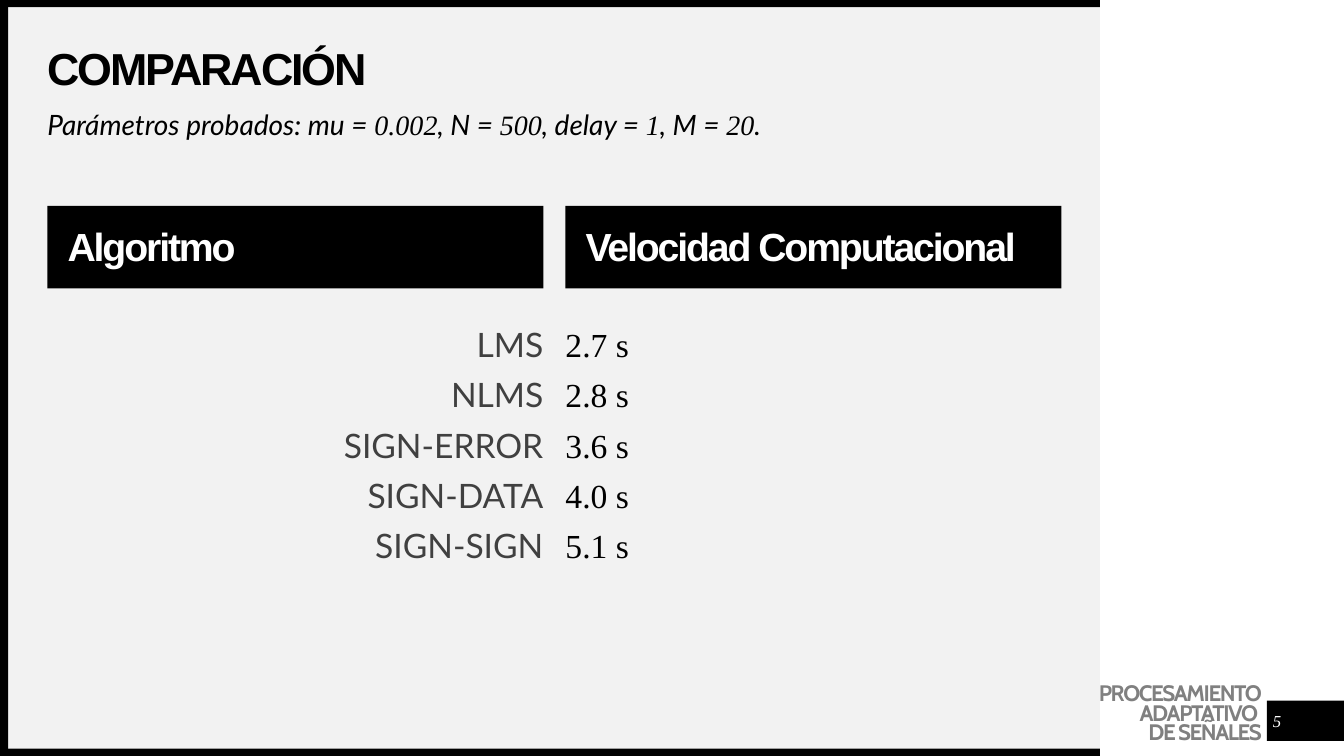
from pptx import Presentation
from pptx.dml.color import RGBColor
from pptx.enum.shapes import MSO_SHAPE
from pptx.enum.text import MSO_ANCHOR, PP_ALIGN
from pptx.util import Pt

RECTANGLE = MSO_SHAPE.RECTANGLE
TOP, MIDDLE = MSO_ANCHOR.TOP, MSO_ANCHOR.MIDDLE
LEFT, CENTER, RIGHT = PP_ALIGN.LEFT, PP_ALIGN.CENTER, PP_ALIGN.RIGHT
HEADING, BODY, NUMERIC, COURSE = "Arial", "Lato", "Times New Roman", "Cabin"
BLACK, WHITE, PANEL, DARK, GREY = "000000", "FFFFFF", "F2F2F2", "404040", "808080"

# Content
TITLE = "COMPARACIÓN"
PARAMETERS = [
    ("Parámetros probados: mu = ", BODY), ("0.002", NUMERIC),
    (", N = ", BODY), ("500", NUMERIC),
    (", delay = ", BODY), ("1", NUMERIC),
    (", M = ", BODY), ("20", NUMERIC), (".", BODY),
]
HEADERS = ["Algoritmo", "Velocidad Computacional"]
RESULTS = [
    ("LMS", "2.7 s"),
    ("NLMS", "2.8 s"),
    ("SIGN-ERROR", "3.6 s"),
    ("SIGN-DATA", "4.0 s"),
    ("SIGN-SIGN", "5.1 s"),
]
COURSE_LINES = ["PROCESAMIENTO", "ADAPTATIVO ", "DE SEÑALES"]
PAGE_NUMBER = "5"

# Layout, in points
PAGE_WIDTH, PAGE_HEIGHT = 960, 540
PANEL_RIGHT, BORDER = 785.7, 5.2
MARGIN, CONTENT_WIDTH, GUTTER = 33.84, 724.32, 15.84
COLUMN_WIDTH = (CONTENT_WIDTH - GUTTER) / 2
HEADER_TOP, HEADER_HEIGHT = 147, 59
RESULTS_TOP, RESULTS_HEIGHT = 234.6, 198.7
COLUMN_STYLES = [(RIGHT, BODY, DARK), (LEFT, NUMERIC, BLACK)]


def color(value):
    return RGBColor.from_string(value)


def add_block(page, left, top, width, height, fill):
    block = page.shapes.add_shape(RECTANGLE, Pt(left), Pt(top), Pt(width), Pt(height))
    block.shadow.inherit = False
    block.fill.solid()
    block.fill.fore_color.rgb = color(fill)
    block.line.fill.background()
    return block


def add_box(page, left, top, width, height):
    return page.shapes.add_textbox(Pt(left), Pt(top), Pt(width), Pt(height))


def write(shape, lines, size, ink, align=LEFT, anchor=TOP, inset=(0, 0),
          line_spacing=0.9, space_before=0, bold=False, italic=False, tracking=0):
    """Each line is a list of (text, font name) spans."""
    frame = shape.text_frame
    frame.word_wrap = True
    frame.vertical_anchor = anchor
    frame.margin_left, frame.margin_top = Pt(inset[0]), Pt(inset[1])
    frame.margin_right = frame.margin_bottom = 0
    for index, spans in enumerate(lines):
        para = frame.add_paragraph() if index else frame.paragraphs[0]
        para.alignment = align
        para.line_spacing = line_spacing
        para.space_before = Pt(space_before if index else 0)
        for text, font_name in spans:
            span = para.add_run()
            span.text = text
            font = span.font
            font.name, font.size = font_name, Pt(size)
            font.bold, font.italic = bold, italic
            font.color.rgb = color(ink)
            if tracking:
                span._r.get_or_add_rPr().set("spc", str(round(tracking * 100)))


deck = Presentation()
deck.slide_width, deck.slide_height = Pt(PAGE_WIDTH), Pt(PAGE_HEIGHT)
page = deck.slides.add_slide(deck.slide_layouts[6])

# Panel and its black border
add_block(page, BORDER, BORDER, PANEL_RIGHT - BORDER, PAGE_HEIGHT - 2 * BORDER, PANEL)
for top in (PAGE_HEIGHT - BORDER, 0):
    add_block(page, 0, top, PANEL_RIGHT, BORDER, BLACK)
add_block(page, 0, 0, 5.8, PAGE_HEIGHT, BLACK)

# Course name and page number
add_block(page, 905, 500.4, PAGE_WIDTH - 905, 28.8, BLACK)
write(add_box(page, 770.4, 487.4, 131, 46), [[(line, COURSE)] for line in COURSE_LINES],
      16, GREY, RIGHT, inset=(0, 2.88), line_spacing=Pt(14), bold=True, tracking=-1)
write(add_box(page, 901.4, 504, 21.6, 21.6), [[(PAGE_NUMBER, NUMERIC)]],
      12, WHITE, CENTER, MIDDLE, line_spacing=1.0, italic=True)

# Title and parameters
write(add_box(page, MARGIN, 33.84, CONTENT_WIDTH, 33.84), [[(TITLE, HEADING)]],
      32, BLACK, anchor=MIDDLE, bold=True, tracking=-1.5)
write(add_box(page, MARGIN, 79.2, CONTENT_WIDTH, 28), [PARAMETERS],
      20, BLACK, italic=True)

# Comparison columns
columns = zip(HEADERS, zip(*RESULTS), COLUMN_STYLES)
for index, (header, values, (align, font_name, ink)) in enumerate(columns):
    left = MARGIN + index * (COLUMN_WIDTH + GUTTER)
    write(add_block(page, left, HEADER_TOP, COLUMN_WIDTH, HEADER_HEIGHT, BLACK),
          [[(header, HEADING)]], 28, WHITE, anchor=MIDDLE, inset=(14.4, 2.88),
          bold=True, tracking=-1.5)
    write(add_box(page, left, RESULTS_TOP, COLUMN_WIDTH, RESULTS_HEIGHT),
          [[(value, font_name)] for value in values], 24, ink, align, space_before=10)

deck.save("out.pptx")
